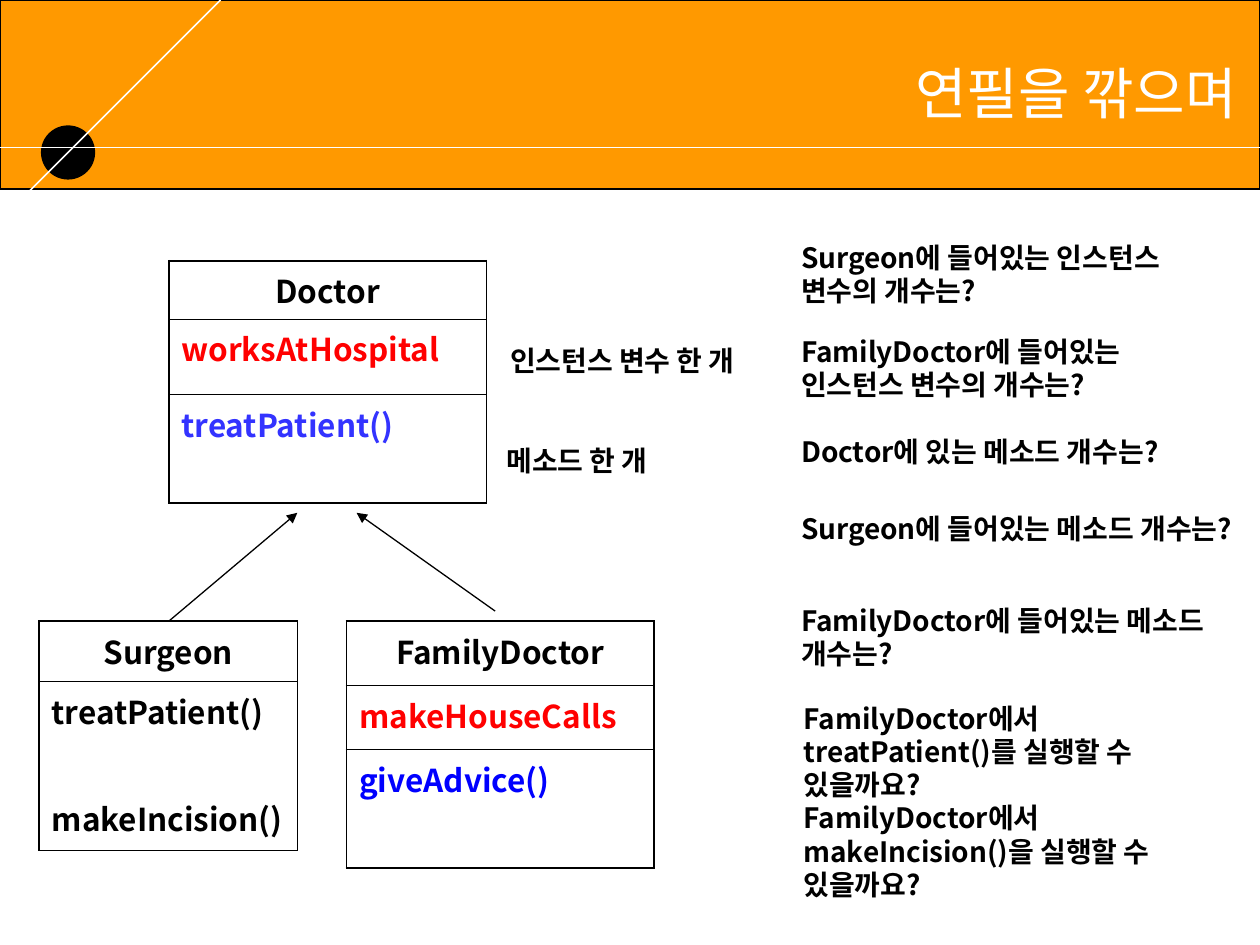
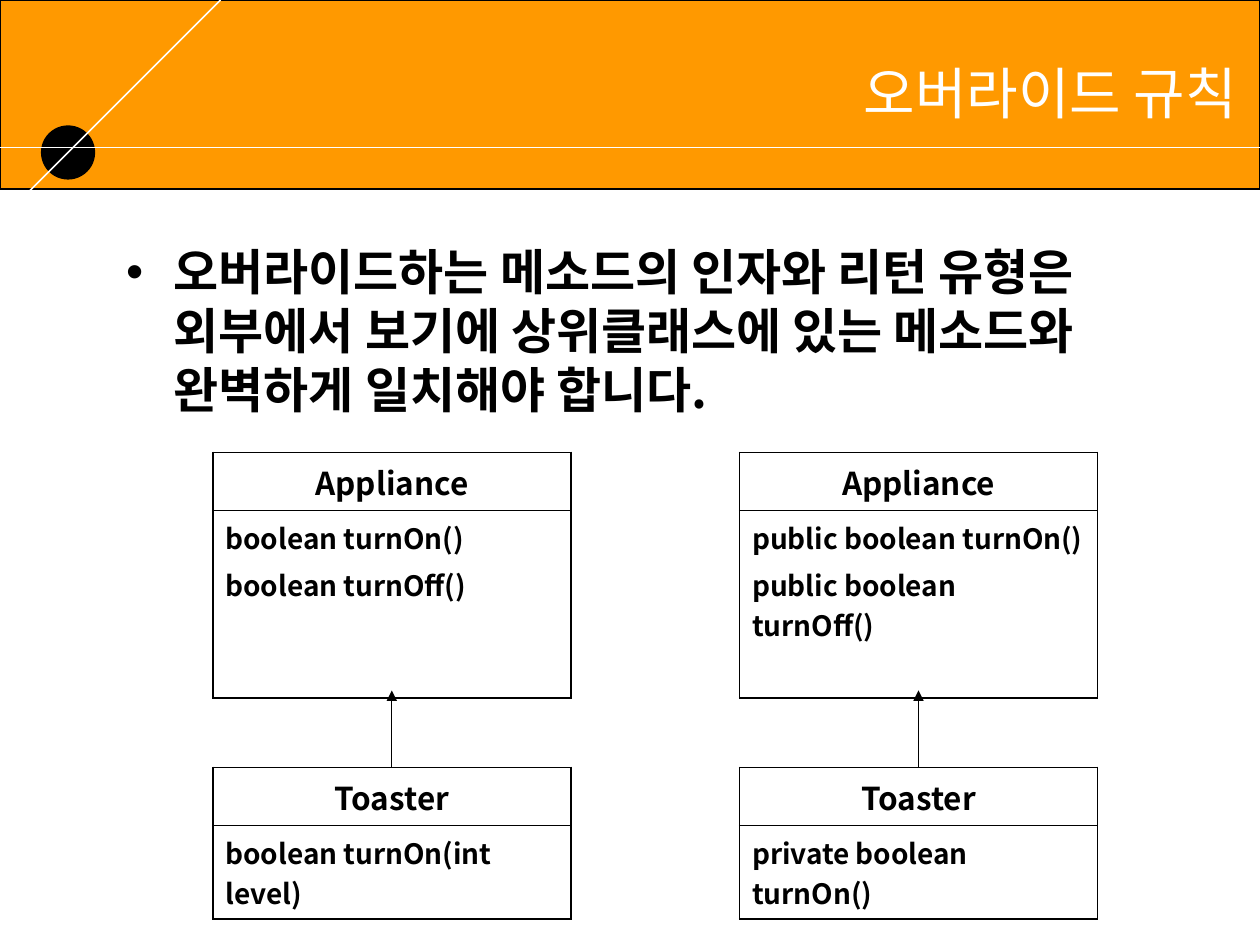
from pptx import Presentation
from pptx.dml.color import RGBColor
from pptx.enum.shapes import MSO_CONNECTOR as Connector, MSO_SHAPE as Preset
from pptx.enum.text import MSO_ANCHOR as Anchor, MSO_AUTO_SIZE as AutoSize, PP_ALIGN as Align
from pptx.oxml.ns import qn
from pptx.util import Emu, Pt
from lxml.etree import SubElement

SCALE = 9144
FONT = "Noto Sans CJK KR"
COLORS = {
    "page": "C0C0C0", "white": "FFFFFF", "band": "FF9900", "black": "000000",
    "variable": "FF0000", "method": "3333FF", "advice": "0000FF",
}
TITLE = {"size": 32, "color": "white", "bold": False, "align": Align.RIGHT}
BODY = {"size": 28, "spacing": 33.5}
QUESTION = {"size": 16, "spacing": 19}
LABEL = {**QUESTION, "align": Align.CENTER}
HEADING = {"size": 18, "align": Align.CENTER}
MEMBER = {"size": 18, "before": 4.5}
SIGNATURE = {"size": 16, "before": 4}
VARIABLE = {**MEMBER, "color": "variable"}
METHOD = {**MEMBER, "color": "method"}
ADVICE = {**MEMBER, "color": "advice"}


def px(value):
    return Emu(value * SCALE)


def rgb(name):
    return RGBColor.from_string(COLORS[name])


class Deck:
    def __init__(self):
        self.presentation = Presentation()
        self.presentation.slide_width = px(1000)
        self.presentation.slide_height = px(750)
        self.slide = None

    def add_slide(self, layout, title):
        self.slide = self.presentation.slides.add_slide(self.presentation.slide_layouts[layout])
        self.placeholder(self.slide.shapes.title, (142, 28, 850, 91), title, TITLE, Anchor.MIDDLE)

    def move_to_master(self, shapes):
        master = self.presentation.slide_master
        background = master.background.fill
        background.solid()
        background.fore_color.rgb = rgb("page")
        for position, shape in enumerate(shapes):
            shape.element.xpath(".//p:cNvPr")[0].set("id", str(100 + position))
            master.shapes.element.insert(2 + position, shape.element)

    def fill_paragraph(self, paragraph, text, size, color="black", bold=True,
                       align=Align.LEFT, before=0, spacing=None):
        formats = {"alignment": align, "space_before": Pt(before)}
        if spacing:
            formats["line_spacing"] = Pt(spacing)
        for name, value in formats.items():
            setattr(paragraph, name, value)
        run = paragraph.add_run()
        run.text = text
        for name, value in {"size": Pt(size), "bold": bold, "name": FONT}.items():
            setattr(run.font, name, value)
        run.font.color.rgb = rgb(color)
        SubElement(run.font._element, qn("a:ea"), typeface=FONT)

    def placeholder(self, shape, box, text, style, anchor):
        for name, value in zip(("left", "top", "width", "height"), box):
            setattr(shape, name, px(value))
        frame = shape.text_frame
        for name, value in {"auto_size": AutoSize.NONE, "vertical_anchor": anchor,
                            "word_wrap": True}.items():
            setattr(frame, name, value)
        self.fill_paragraph(frame.paragraphs[0], text, **style)

    def bullet(self, box, text):
        shape = self.slide.placeholders[1]
        properties = shape.text_frame.paragraphs[0]._p.get_or_add_pPr()
        properties.set("marL", str(px(38)))
        properties.set("indent", str(px(-38)))
        SubElement(properties, qn("a:buChar"), char="•")
        self.placeholder(shape, box, text, BODY, Anchor.TOP)

    def text(self, box, text, style, wrap=True):
        frame = self.slide.shapes.add_textbox(*map(px, box)).text_frame
        frame.word_wrap = wrap
        frame.auto_size = AutoSize.SHAPE_TO_FIT_TEXT
        self.fill_paragraph(frame.paragraphs[0], text, **style)

    def shape(self, preset, box, fill, outlined=True):
        shape = self.slide.shapes.add_shape(preset, *map(px, box))
        shape.shadow.inherit = False
        shape.fill.solid()
        shape.fill.fore_color.rgb = rgb(fill)
        if outlined:
            shape.line.color.rgb = rgb("black")
            shape.line.width = Pt(0.75)
        else:
            shape.line.fill.background()
        return shape

    def line(self, points, color="black", width=0.75, arrow=True):
        connector = self.slide.shapes.add_connector(Connector.STRAIGHT, *map(px, points))
        connector.line.color.rgb = rgb(color)
        connector.line.width = Pt(width)
        properties = connector.element.spPr
        if arrow:
            SubElement(properties.find(qn("a:ln")), qn("a:tailEnd"), type="triangle")
        SubElement(properties, qn("a:effectLst"))
        return connector

    def border(self, cell, first, last):
        properties = cell._tc.get_or_add_tcPr()
        widths = {"L": 1.08, "R": 1.08, "T": 1.08 if first else 0.45, "B": 1.08 if last else 0.45}
        for side, width in widths.items():
            edge = SubElement(properties, qn(f"a:ln{side}"), w=str(Pt(width)))
            fill = SubElement(edge, qn("a:solidFill"))
            SubElement(fill, qn("a:srgbClr"), val=COLORS["black"])
        cell.fill.background()

    def class_box(self, left, top, width, name, name_height, sections):
        rows = [(name_height, [(name, HEADING)]), *sections]
        height = sum(row_height for row_height, _ in rows)
        table = self.slide.shapes.add_table(len(rows), 1, *map(px, (left, top, width, height))).table
        table.first_row = table.horz_banding = False
        for index, (row_height, members) in enumerate(rows):
            table.rows[index].height = px(row_height)
            cell = table.cell(index, 0)
            self.border(cell, index == 0, index == len(rows) - 1)
            frame = cell.text_frame
            for position, (text, style) in enumerate(members):
                if position == 0:
                    self.fill_paragraph(frame.paragraphs[0], text, **{**style, "before": 0})
                else:
                    self.fill_paragraph(frame.add_paragraph(), text, **style)


def decorate(deck):
    deck.move_to_master([
        deck.shape(Preset.RECTANGLE, (0, 150, 1000, 600), "white", outlined=False),
        deck.shape(Preset.RECTANGLE, (0, 0, 1000, 150), "band"),
        deck.shape(Preset.OVAL, (33, 100, 42, 42), "black"),
        deck.line((0, 117, 1000, 117), "white", 1, arrow=False),
        deck.line((0, 175, 175, 0), "white", 1, arrow=False),
    ])


def doctor_slide(deck):
    deck.add_slide(5, "연필을 깎으며")
    decorate(deck)
    deck.class_box(134, 207, 252, "Doctor", 45, [
        (60, [("worksAtHospital", VARIABLE)]), (86, [("treatPatient()", METHOD)])])
    deck.text((395, 268, 198, 37), "인스턴스 변수 한 개", LABEL, wrap=False)
    deck.text((392, 347, 132, 37), "메소드 한 개", LABEL, wrap=False)
    deck.class_box(31, 493, 205, "Surgeon", 48, [
        (134, [("treatPatient()", MEMBER), ("makeIncision()", {**MEMBER, "before": 35})])])
    deck.class_box(275, 493, 244, "FamilyDoctor", 51, [
        (51, [("makeHouseCalls", VARIABLE)]), (94, [("giveAdvice()", ADVICE)])])
    deck.line((134, 493, 236, 407))
    deck.line((393, 485, 283, 407))
    questions = [
        (626, 186, 64, "Surgeon에 들어있는 인스턴스 변수의 개수는?"),
        (626, 261, 64, "FamilyDoctor에 들어있는 인스턴스 변수의 개수는?"),
        (626, 340, 37, "Doctor에 있는 메소드 개수는?"),
        (626, 401, 64, "Surgeon에 들어있는 메소드 개수는?"),
        (626, 474, 64, "FamilyDoctor에 들어있는 메소드 개수는?"),
        (628, 552, 90, "FamilyDoctor에서 treatPatient()를 실행할 수 있을까요?"),
        (628, 631, 90, "FamilyDoctor에서 makeIncision()을 실행할 수 있을까요?"),
    ]
    for left, top, height, question in questions:
        deck.text((left, top, 353, height), question, QUESTION)


def override_slide(deck):
    deck.add_slide(1, "오버라이드 규칙")
    deck.bullet((90, 187, 858, 172), "오버라이드하는 메소드의 인자와 리턴 유형은 외부에서 보기에 "
                "상위클래스에 있는 메소드와 완벽하게 일치해야 합니다.")
    width = 284
    examples = [
        (169, ["boolean turnOn()", "boolean turnOff()"], "boolean turnOn(int level)"),
        (587, ["public boolean turnOn()", "public boolean turnOff()"], "private boolean turnOn()"),
    ]
    for left, inherited, override in examples:
        center = left + width // 2
        deck.class_box(left, 359, width, "Appliance", 40,
                       [(149, [(method, SIGNATURE) for method in inherited])])
        deck.class_box(left, 609, width, "Toaster", 40, [(73, [(override, SIGNATURE)])])
        deck.line((center, 609, center, 548))


def main():
    deck = Deck()
    doctor_slide(deck)
    override_slide(deck)
    deck.presentation.save("out.pptx")


if __name__ == "__main__":
    main()
